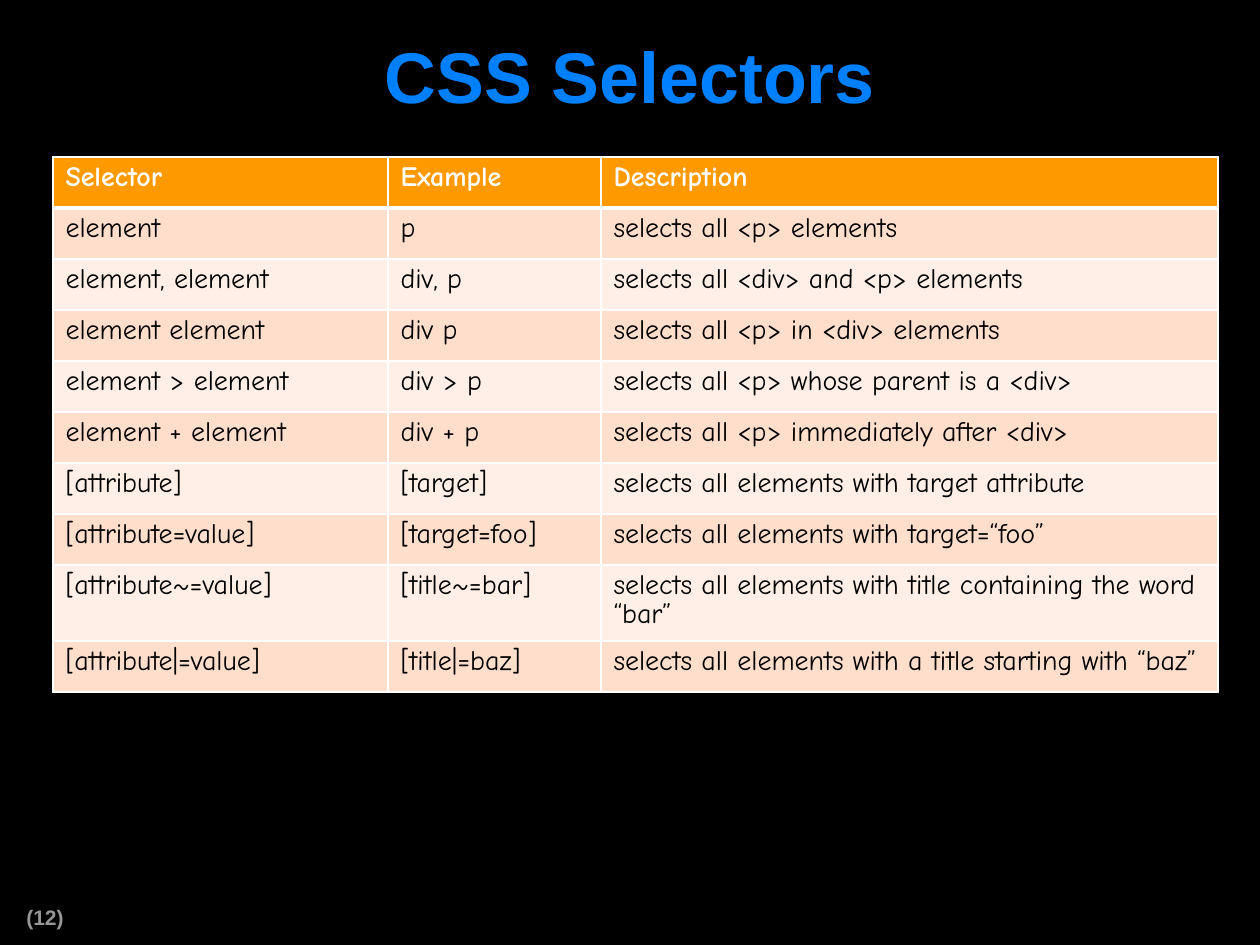
from dataclasses import dataclass

from lxml.etree import fromstring
from pptx import Presentation
from pptx.dml.color import RGBColor
from pptx.enum.text import MSO_ANCHOR, MSO_AUTO_SIZE, PP_ALIGN
from pptx.util import Emu, Pt

SCALE = 914400 // 126
NS = "http://schemas.openxmlformats.org/drawingml/2006/main"


@dataclass(frozen=True)
class Theme:
    """Colours, fonts and type sizes of the slide."""
    back: str = "000000"
    title: str = "0080FF"
    muted: str = "969696"
    head: str = "FF9900"
    light: str = "FFFFFF"
    dark: str = "000000"
    bands: tuple = ("FFDECC", "FFEFE7")
    sans: str = "Arial"
    comic: str = "Comic Neue"
    big: int = 41
    body: int = 16
    small: int = 12


def px(num):
    """Turn whole pixels into EMU."""
    return Emu(num * SCALE)


def assign(item, values):
    """Set every attribute named in a dict."""
    for name, value in values.items():
        setattr(item, name, value)


class Deck:
    """Style and current slide, with one method per kind of element."""

    def __init__(self, theme, width, height):
        """Start a deck with one title-only slide."""
        self.theme = theme
        self.deck = Presentation()
        assign(self.deck, {"slide_width": px(width), "slide_height": px(height)})
        self.slide = self.deck.slides.add_slide(self.deck.slide_layouts[5])
        self.paint(self.slide.background.fill, theme.back)

    def paint(self, fill, color):
        """Apply a solid fill."""
        fill.solid()
        fill.fore_color.rgb = RGBColor.from_string(color)

    def line(self, frame, text, font, size, color, bold=False, align=PP_ALIGN.LEFT):
        """Put one formatted paragraph in a text frame."""
        para = frame.paragraphs[0]
        assign(para, {"alignment": align, "line_spacing": 0.9})
        run = para.add_run()
        run.text = text
        assign(run.font, {"name": font, "size": Pt(size), "bold": bold})
        run.font.color.rgb = RGBColor.from_string(color)

    def title(self, text, box):
        """Place and fill the title placeholder."""
        shape = self.slide.shapes.title
        assign(shape, dict(zip(("left", "top", "width", "height"), map(px, box))))
        frame = shape.text_frame
        assign(frame, {"vertical_anchor": MSO_ANCHOR.MIDDLE, "word_wrap": True,
                       "auto_size": MSO_AUTO_SIZE.NONE,
                       "margin_left": px(16), "margin_right": px(16),
                       "margin_top": px(8), "margin_bottom": px(8)})
        look = self.theme
        self.line(frame, text, look.sans, look.big, look.title, True, PP_ALIGN.CENTER)

    def label(self, text, box):
        """Add a small muted text box."""
        frame = self.slide.shapes.add_textbox(*map(px, box)).text_frame
        assign(frame, {"word_wrap": False, "auto_size": MSO_AUTO_SIZE.SHAPE_TO_FIT_TEXT})
        look = self.theme
        self.line(frame, text, look.sans, look.small, look.muted, True)

    def border(self, cell, widths):
        """Draw the four cell borders, given in points."""
        props = cell._tc.get_or_add_tcPr()
        for spot, (side, width) in enumerate(widths.items()):
            props.insert(spot, fromstring(
                f'<a:ln{side} xmlns:a="{NS}" w="{Pt(width)}"><a:solidFill>'
                f'<a:srgbClr val="{self.theme.light}"/></a:solidFill></a:ln{side}>'))

    def table(self, rows, left, top, widths, heights):
        """Add a table with a header row and banded body rows."""
        look = self.theme
        grid = self.slide.shapes.add_table(
            len(rows), len(widths), px(left), px(top),
            px(sum(widths)), px(sum(heights))).table
        for col, width in zip(grid.columns, widths):
            col.width = px(width)
        for num, (row, texts) in enumerate(zip(grid.rows, rows)):
            row.height = px(heights[num])
            head = num == 0
            fill = look.head if head else look.bands[(num - 1) % 2]
            color = look.light if head else look.dark
            edges = {"L": 1, "R": 1, "T": 3 if num == 1 else 1, "B": 3 if head else 1}
            for cell, text in zip(row.cells, texts):
                self.paint(cell.fill, fill)
                self.border(cell, edges)
                self.line(cell.text_frame, text, look.comic, look.body, color, head)


ROWS = [
    ("Selector", "Example", "Description"),
    ("element", "p", "selects all <p> elements"),
    ("element, element", "div, p", "selects all <div> and <p> elements"),
    ("element element", "div p", "selects all <p> in <div> elements"),
    ("element > element", "div > p", "selects all <p> whose parent is a <div>"),
    ("element + element", "div + p", "selects all <p> immediately after <div>"),
    ("[attribute]", "[target]", "selects all elements with target attribute"),
    ("[attribute=value]", "[target=foo]", "selects all elements with target=“foo”"),
    ("[attribute~=value]", "[title~=bar]",
     "selects all elements with title containing the word “bar”"),
    ("[attribute|=value]", "[title|=baz]",
     "selects all elements with a title starting with “baz”"),
]

deck = Deck(Theme(), 1260, 945)
deck.label("(12)", (14, 901, 66, 35))
deck.title("CSS Selectors", (0, 21, 1260, 118))
deck.table(ROWS, 53, 157, (335, 213, 617), [51] * 8 + [76, 51])
deck.deck.save("out.pptx")
